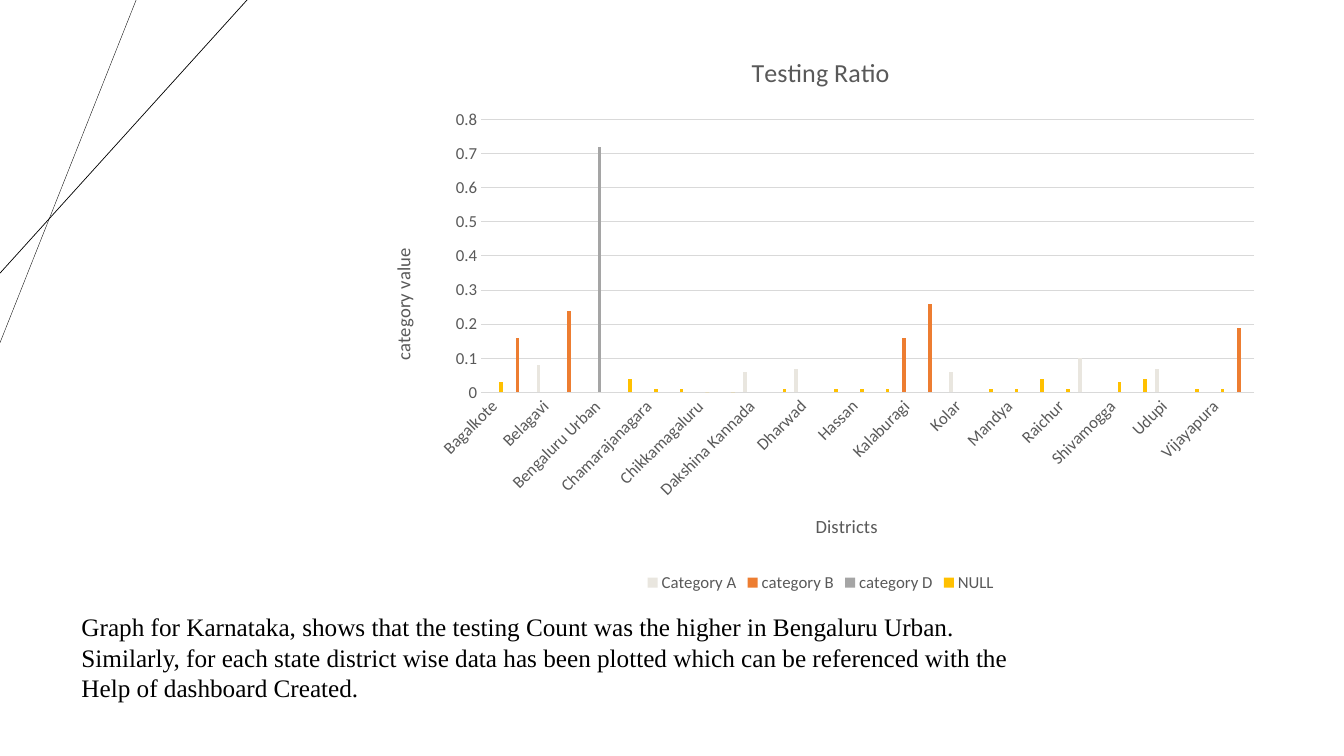
from dataclasses import dataclass

from lxml.etree import SubElement
from pptx import Presentation
from pptx.chart.data import CategoryChartData
from pptx.dml.color import RGBColor
from pptx.enum.chart import XL_CHART_TYPE, XL_LEGEND_POSITION, XL_TICK_MARK
from pptx.enum.shapes import MSO_CONNECTOR
from pptx.oxml import parse_xml
from pptx.oxml.ns import nsdecls, qn
from pptx.util import Inches, Pt


@dataclass(frozen=True)
class Theme:
    ink: str = "000000"
    gray: str = "595959"
    rule: str = "D9D9D9"
    sans: str = "Calibri"
    serif: str = "Times New Roman"
    head: float = 18.6
    axis: float = 13.3
    tick: float = 12
    body: float = 18


THEME = Theme()

TOWNS = [
    "Bagalkote", "Ballari", "Belagavi", "Bengaluru Rural", "Bengaluru Urban",
    "Bidar", "Chamarajanagara", "Chikkaballapura", "Chikkamagaluru",
    "Chitradurga", "Dakshina Kannada", "Davanagere", "Dharwad", "Gadag",
    "Hassan", "Haveri", "Kalaburagi", "Kodagu", "Kolar", "Koppal", "Mandya",
    "Mysuru", "Raichur", "Ramanagara", "Shivamogga", "Tumakuru", "Udupi",
    "Uttara Kannada", "Vijayapura", "Yadgir",
]

SERIES = [
    ("Category A", "E9E6DF",
     {2: 0.08, 10: 0.06, 12: 0.07, 18: 0.06, 23: 0.1, 26: 0.07}),
    ("category B", "ED7D31",
     {1: 0.16, 3: 0.24, 16: 0.16, 17: 0.26, 29: 0.19}),
    ("category D", "A5A5A5", {4: 0.72}),
    ("NULL", "FFC000",
     {0: 0.03, 5: 0.04, 6: 0.01, 7: 0.01, 8: 0, 9: 0, 11: 0.01, 13: 0.01,
      14: 0.01, 15: 0.01, 19: 0.01, 20: 0.01, 21: 0.04, 22: 0.01, 24: 0.03,
      25: 0.04, 27: 0.01, 28: 0.01}),
]

NOTE = [
    "Graph for Karnataka, shows that the testing Count was the higher in Bengaluru Urban.",
    "Similarly, for each state district wise data has been plotted which can be referenced with the",
    "Help of dashboard Created.",
]


def color(code):
    return RGBColor.from_string(code)


def style(font, size, code, face):
    font.size = Pt(size)
    font.bold = False
    font.name = face
    font.color.rgb = color(code)


def write(para, text, size=THEME.axis, code=THEME.gray, face=THEME.sans):
    run = para.add_run()
    run.text = text
    style(run.font, size, code, face)


def stroke(line, code, width):
    line.color.rgb = color(code)
    line.width = Pt(width)


def draw_rays(slide, left, top, rays):
    for wide, tall, width in rays:
        ray = slide.shapes.add_connector(
            MSO_CONNECTOR.STRAIGHT, Inches(left + wide), Inches(top),
            Inches(left), Inches(top + tall))
        stroke(ray.line, THEME.ink, width)
        ray._element.spPr.append(parse_xml(f"<a:effectLst {nsdecls('a')}/>"))


def set_axis(axis, title, angle):
    write(axis.axis_title.text_frame.paragraphs[0], title)
    body = axis.axis_title._element.find(".//" + qn("a:bodyPr"))
    body.set("rot", str(angle * 60000))
    body.set("vert", "horz")
    axis.major_tick_mark = axis.minor_tick_mark = XL_TICK_MARK.NONE
    style(axis.tick_labels.font, THEME.tick, THEME.gray, THEME.sans)


def slant(axis):
    node = axis._element
    node.find(qn("c:txPr")).find(qn("a:bodyPr")).set("rot", str(-45 * 60000))
    skip = SubElement(node, qn("c:tickLblSkip"))
    skip.set("val", "2")
    node.find(qn("c:lblOffset")).addnext(skip)


def draw_chart(slide, left, top, width, height):
    data = CategoryChartData()
    data.categories = TOWNS
    for name, _, vals in SERIES:
        data.add_series(name, [vals.get(i) for i in range(len(TOWNS))])
    chart = slide.shapes.add_chart(
        XL_CHART_TYPE.COLUMN_CLUSTERED, Inches(left), Inches(top),
        Inches(width), Inches(height), data).chart
    style(chart.font, 10, THEME.ink, THEME.sans)
    chart.has_title = True
    write(chart.chart_title.text_frame.paragraphs[0], "Testing Ratio",
          size=THEME.head)
    chart.chart_title.include_in_layout = False

    plot = chart.plots[0]
    plot.gap_width = 219
    plot.overlap = -27
    plot.vary_by_categories = False
    for bars, (_, code, _) in zip(plot.series, SERIES):
        bars.format.fill.solid()
        bars.format.fill.fore_color.rgb = color(code)
        bars.invert_if_negative = False

    base, side = chart.category_axis, chart.value_axis
    set_axis(base, "Districts", 0)
    slant(base)
    stroke(base.format.line, THEME.rule, 0.75)
    set_axis(side, "category value", -90)
    side.format.line.fill.background()
    side.minimum_scale, side.maximum_scale, side.major_unit = 0, 0.8, 0.1
    side.has_major_gridlines = True
    stroke(side.major_gridlines.format.line, THEME.rule, 0.75)

    chart.has_legend = True
    chart.legend.position = XL_LEGEND_POSITION.BOTTOM
    chart.legend.include_in_layout = False
    style(chart.legend.font, THEME.tick, THEME.gray, THEME.sans)


def draw_note(slide, left, top, width, height):
    box = slide.shapes.add_textbox(
        Inches(left), Inches(top), Inches(width), Inches(height))
    frame = box.text_frame
    frame.word_wrap = True
    for i, text in enumerate(NOTE):
        para = frame.add_paragraph() if i else frame.paragraphs[0]
        write(para, text, size=THEME.body, code=THEME.ink, face=THEME.serif)


def main():
    deck = Presentation()
    deck.slide_width, deck.slide_height = Inches(13.33), Inches(7.5)
    slide = deck.slides.add_slide(deck.slide_layouts[6])
    draw_rays(slide, 0, 0, [(1.35, 3.4, 0.25), (2.45, 2.71, 0.5)])
    draw_chart(slide, 3.66, 0.33, 8.96, 5.59)
    draw_note(slide, 0.71, 6.02, 9.77, 1.01)
    deck.save("out.pptx")


if __name__ == "__main__":
    main()
